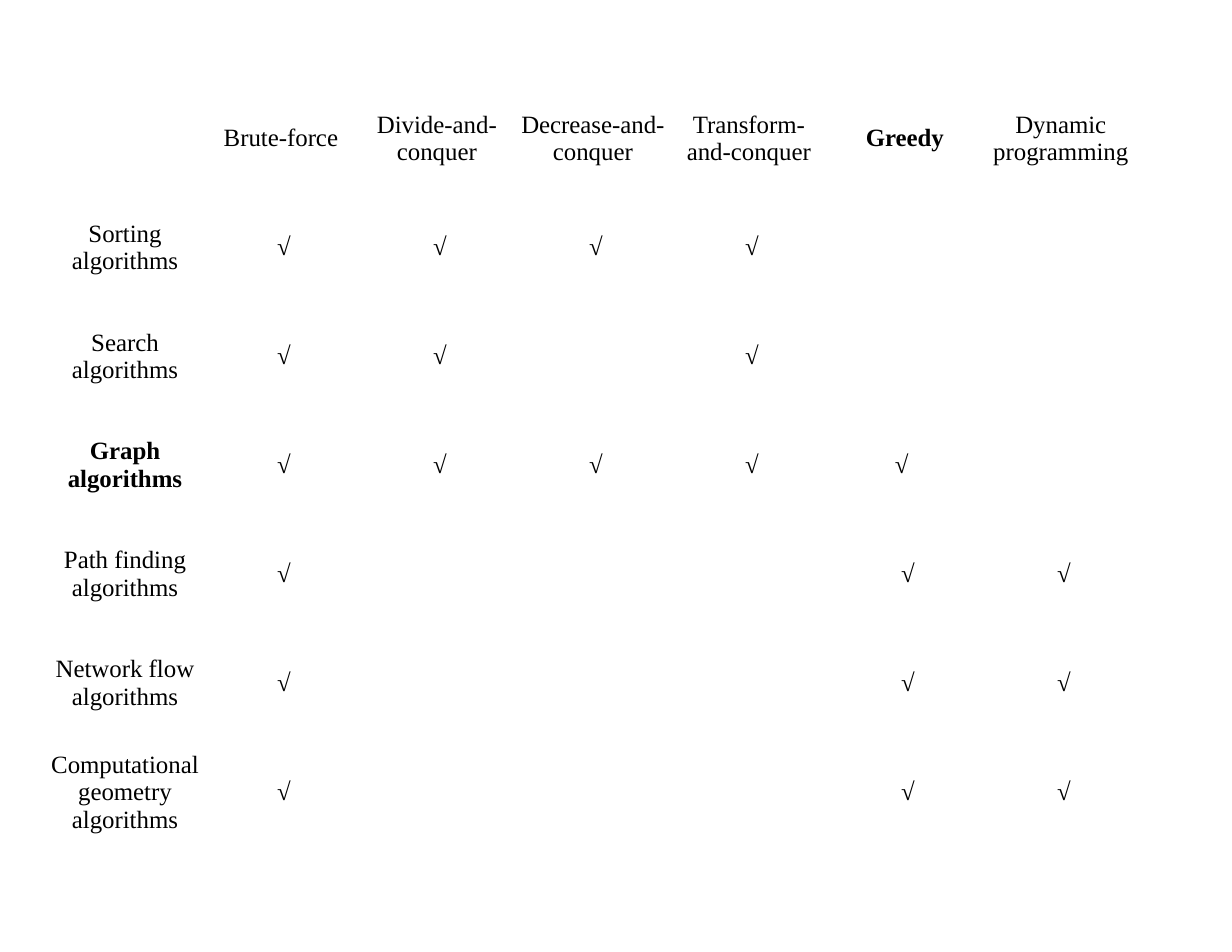
"""Build a slide that maps algorithm families to design techniques."""
from pptx import Presentation, util as u
from pptx.dml.color import RGBColor
from pptx.enum import text

PX = u.Inches(1) // 112
WIDTH, HEIGHT = 1232, 952
LEFT, TOP = 47, 84
COLUMN, ROW = 156, 109
SIDE_MARGIN, END_MARGIN = 3, 1
FONT, SIZE = "Times New Roman", u.Pt(16)
BLACK = RGBColor(0, 0, 0)

TICK, LEFT_TICK = " √", "√ "
BOLD_HEADINGS = ("Greedy", "Graph algorithms")
ROWS = [
    ("", "Brute-force", "Divide-and-conquer", "Decrease-and-conquer",
     "Transform-and-conquer", "Greedy", "Dynamic programming"),
    ("Sorting algorithms", TICK, TICK, TICK, TICK, "", ""),
    ("Search algorithms", TICK, TICK, "", TICK, "", ""),
    ("Graph algorithms", TICK, TICK, TICK, TICK, LEFT_TICK, ""),
    ("Path finding algorithms", TICK, "", "", "", TICK, TICK),
    ("Network flow algorithms", TICK, "", "", "", TICK, TICK),
    ("Computational geometry algorithms", TICK, "", "", "", TICK, TICK),
]


def fill_cell(cell, wording):
    cell.fill.background()
    cell.vertical_anchor = text.MSO_ANCHOR.MIDDLE
    cell.margin_left = cell.margin_right = SIDE_MARGIN * PX
    cell.margin_top = cell.margin_bottom = END_MARGIN * PX
    if not wording:
        return
    cell.text_frame.text = wording
    para = cell.text_frame.paragraphs[0]
    para.alignment = text.PP_ALIGN.CENTER
    font = para.runs[0].font
    font.name, font.size = FONT, SIZE
    font.bold = wording in BOLD_HEADINGS
    font.color.rgb = BLACK


def main():
    deck = Presentation()
    deck.slide_width, deck.slide_height = WIDTH * PX, HEIGHT * PX
    page = deck.slides.add_slide(deck.slide_layouts[6])
    row_count, column_count = len(ROWS), len(ROWS[0])
    table = page.shapes.add_table(
        row_count, column_count, LEFT * PX, TOP * PX,
        column_count * COLUMN * PX, row_count * ROW * PX).table
    table.first_row = table.horz_banding = False
    for column in table.columns:
        column.width = COLUMN * PX
    for row, wordings in zip(table.rows, ROWS):
        row.height = ROW * PX
        for cell, wording in zip(row.cells, wordings):
            fill_cell(cell, wording)
    deck.save("out.pptx")


if __name__ == "__main__":
    main()
